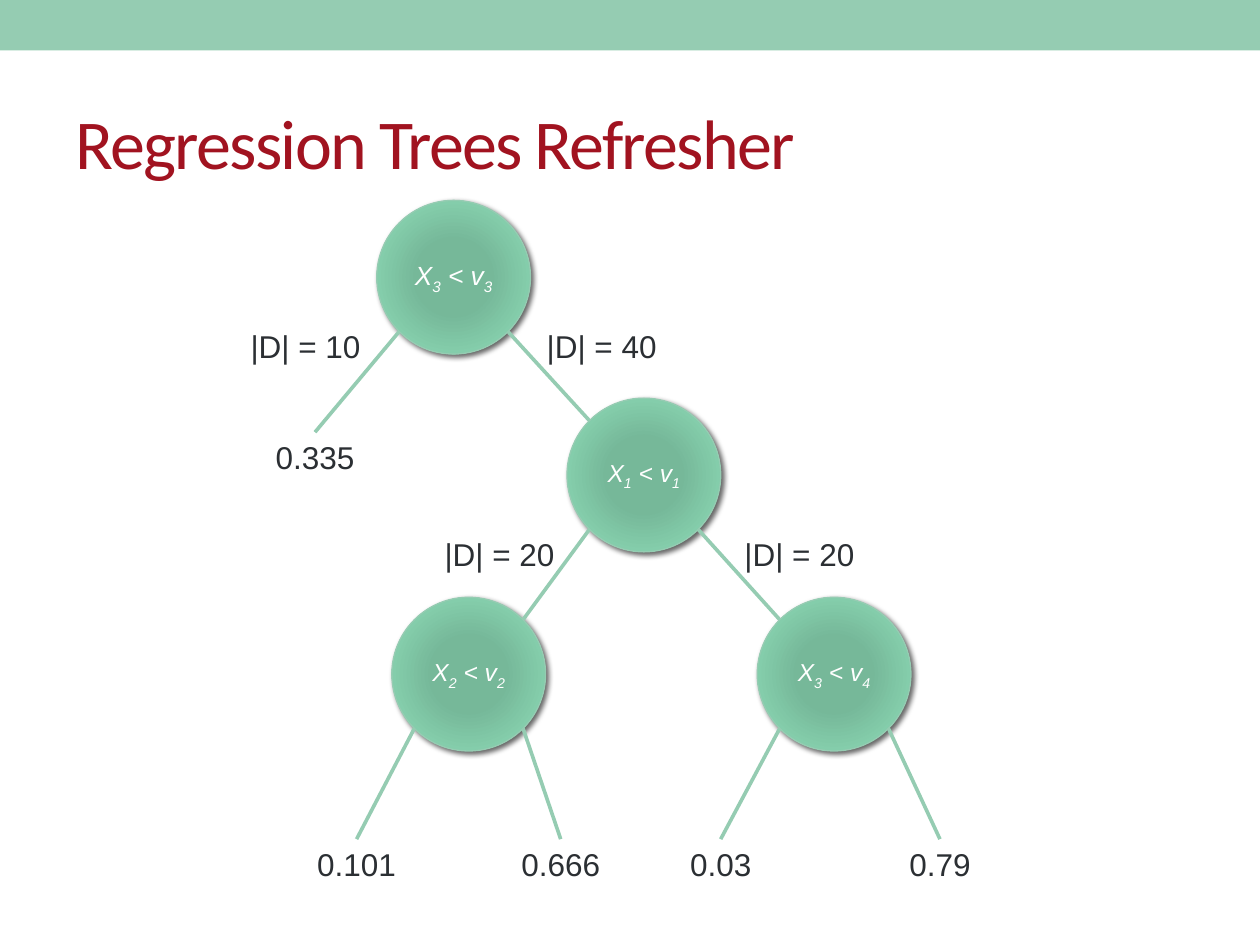
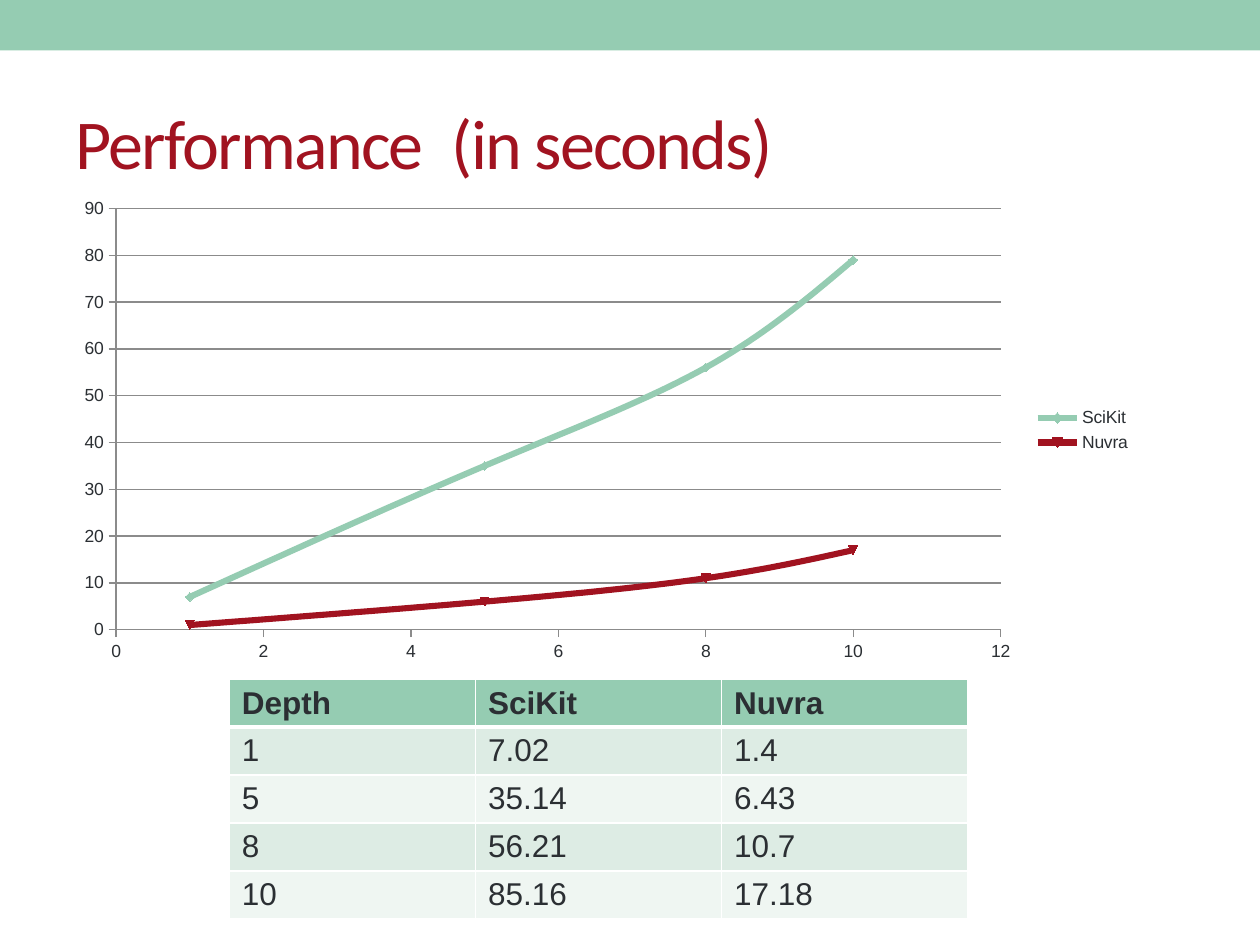
"""Build two slides: a regression tree diagram and a performance comparison."""
from dataclasses import dataclass
from math import sqrt
from typing import Optional, Union

from pptx import Presentation
from pptx.chart.data import XyChartData
from pptx.dml.color import RGBColor as RGB
from pptx.enum.chart import XL_CHART_TYPE as ChartType
from pptx.enum.chart import XL_LEGEND_POSITION as LegendPosition
from pptx.enum.chart import XL_MARKER_STYLE as Marker
from pptx.enum.chart import XL_TICK_MARK as Tick
from pptx.enum.shapes import MSO_CONNECTOR as Connector
from pptx.enum.shapes import MSO_SHAPE as Shape
from pptx.enum.text import MSO_ANCHOR as Anchor
from pptx.enum.text import PP_ALIGN as Align
from pptx.oxml import parse_xml
from pptx.oxml.ns import nsdecls, qn
from pptx.slide import Slide
from pptx.text.text import TextFrame
from pptx.util import Inches, Pt


@dataclass(frozen=True)
class Theme:
    green: str = "95CCB2"
    red: str = "A11320"
    ink: str = "2B2F33"
    white: str = "FFFFFF"
    grid: str = "8B8B8B"
    rows: tuple = ("DDECE4", "EFF6F2")
    glow: tuple = ((0, "74BA99"), (34, "76B899"), (70, "84CDAB"), (100, "95CCB2"))
    title_font: str = "Calibri"
    body_font: str = "Arial"
    title_size: float = 40
    body_size: float = 18
    root_size: float = 15
    node_size: float = 14
    chart_size: float = 10
    title_tracking: float = -1
    wide_gap: float = 7


THEME = Theme()
NODE_SIZE = 1.22
LABEL_HEIGHT = 0.4


@dataclass(frozen=True)
class Leaf:
    value: str
    x: float
    y: float


@dataclass(frozen=True)
class Branch:
    child: Union["Split", Leaf]
    label: str = ""
    label_at: Optional[tuple[float, float]] = None


@dataclass(frozen=True)
class Split:
    condition: str
    left: float
    top: float
    branches: tuple[Branch, Branch]
    size: float = THEME.node_size

    def corner(self, right: bool, bottom: bool) -> tuple[float, float]:
        inset = NODE_SIZE * (1 - 1 / sqrt(2)) / 2
        far = NODE_SIZE - inset
        return (self.left + (far if right else inset),
                self.top + (far if bottom else inset))


TREE = Split("X_3_ < v_3_", 2.99, 1.59, (
    Branch(Leaf("0.335", 2.5, 3.43), "|D| = 10", (1.89, 2.55)),
    Branch(Split("X_1_ < v_1_", 4.5, 3.16, (
        Branch(Split("X_2_ < v_2_", 3.11, 4.74, (
            Branch(Leaf("0.101", 2.83, 6.66)),
            Branch(Leaf("0.666", 4.45, 6.66)),
        )), "|D| = 20", (3.43, 4.2)),
        Branch(Split("X_3_ < v_4_", 6.01, 4.74, (
            Branch(Leaf("0.03", 5.72, 6.66)),
            Branch(Leaf("0.79", 7.46, 6.66)),
        )), "|D| = 20", (5.81, 4.2)),
    )), "|D| = 40", (4.24, 2.55)),
), THEME.root_size)

TIMINGS = (
    ("Depth", "SciKit", "Nuvra"),
    ("1", "7.02", "1.4"),
    ("5", "35.14", "6.43"),
    ("8", "56.21", "10.7"),
    ("10", "85.16", "17.18"),
)
DEPTHS = (1, 5, 8, 10)
CURVES = (
    ("SciKit", (7, 35, 56, 79), THEME.green, Marker.DIAMOND),
    ("Nuvra", (1, 6, 11, 17), THEME.red, Marker.AUTOMATIC),
)


def rgb(color: str) -> RGB:
    return RGB.from_string(color)


def write(frame: TextFrame, text: str, *, size: float = THEME.body_size,
          color: str = THEME.ink, font: str = THEME.body_font,
          bold: bool = False, italic: bool = False, align: Align = Align.LEFT,
          anchor: Anchor = Anchor.TOP, wrap: bool = True,
          tracking: float = 0) -> None:
    frame.word_wrap = wrap
    frame.vertical_anchor = anchor
    paragraph = frame.paragraphs[0]
    paragraph.alignment = align
    for index, part in enumerate(text.split("_")):
        if not part:
            continue
        run = paragraph.add_run()
        run.text = part
        run.font.name, run.font.size = font, Pt(size)
        run.font.bold, run.font.italic = bold, italic
        run.font.color.rgb = rgb(color)
        properties = run._r.get_or_add_rPr()
        if index % 2:
            properties.set("baseline", "-25000")
        if tracking:
            properties.set("spc", str(int(tracking * 100)))


def add_label(slide: Slide, text: str, left: float, top: float, width: float,
              align: Align = Align.LEFT) -> None:
    label = slide.shapes.add_textbox(Inches(left), Inches(top),
                                     Inches(width), Inches(LABEL_HEIGHT))
    write(label.text_frame, text, align=align)


def add_edge(slide: Slide, start: tuple[float, float],
             end: tuple[float, float]) -> None:
    edge = slide.shapes.add_connector(
        Connector.STRAIGHT, *(Inches(value) for value in start + end))
    edge.line.color.rgb = rgb(THEME.green)
    edge.line.width = Pt(2.08)
    edge.element.spPr.append(parse_xml(f"<a:effectLst {nsdecls('a')}/>"))


def add_node(slide: Slide, split: Split) -> None:
    node = slide.shapes.add_shape(Shape.OVAL, Inches(split.left), Inches(split.top),
                                  Inches(NODE_SIZE), Inches(NODE_SIZE))
    node.line.color.rgb = rgb(THEME.green)
    node.line.width = Pt(0.75)
    node.fill.background()
    node.shadow.inherit = False
    stops = "".join(f'<a:gs pos="{at * 1000}"><a:srgbClr val="{color}"/></a:gs>'
                    for at, color in THEME.glow)
    look = node.element.spPr
    look.replace(look.find(qn("a:noFill")), parse_xml(
        f'<a:gradFill {nsdecls("a")} rotWithShape="1"><a:gsLst>{stops}</a:gsLst>'
        '<a:path path="circle"><a:fillToRect l="100000" t="100000" '
        'r="100000" b="100000"/></a:path></a:gradFill>'))
    look.find(qn("a:effectLst")).append(parse_xml(
        f'<a:outerShdw {nsdecls("a")} blurRad="{Pt(3)}" dist="{Pt(2)}" '
        'dir="2700000" rotWithShape="0"><a:srgbClr val="000000">'
        '<a:alpha val="60000"/></a:srgbClr></a:outerShdw>'))
    write(node.text_frame, split.condition, size=split.size, color=THEME.white,
          italic=True, align=Align.CENTER, anchor=Anchor.MIDDLE, wrap=False)


def draw_tree(slide: Slide, split: Split) -> None:
    add_node(slide, split)
    for right, branch in zip((False, True), split.branches):
        child = branch.child
        if isinstance(child, Split):
            draw_tree(slide, child)
            end = child.corner(not right, False)
        else:
            add_label(slide, child.value, child.x - 0.69, child.y, 1.38, Align.CENTER)
            end = (child.x, child.y)
        add_edge(slide, split.corner(right, True), end)
        if branch.label_at:
            add_label(slide, branch.label, *branch.label_at, 1.25)


def add_timing_table(slide: Slide) -> None:
    row_height = Inches(0.38)
    table = slide.shapes.add_table(
        len(TIMINGS), len(TIMINGS[0]), Inches(1.82), Inches(5.39),
        Inches(5.86), row_height * len(TIMINGS)).table
    for row, values in enumerate(TIMINGS):
        table.rows[row].height = row_height
        for column, value in enumerate(values):
            cell = table.cell(row, column)
            write(cell.text_frame, value, bold=row == 0)
            widths = {"L": 1, "R": 1, "T": 3 if row == 1 else 1,
                      "B": 3 if row == 0 else 1}
            for side, width in widths.items():
                cell._tc.get_or_add_tcPr().append(parse_xml(
                    f'<a:ln{side} {nsdecls("a")} w="{Pt(width)}"><a:solidFill>'
                    f'<a:srgbClr val="{THEME.white}"/></a:solidFill></a:ln{side}>'))
            cell.fill.solid()
            cell.fill.fore_color.rgb = rgb(
                THEME.rows[(row - 1) % 2] if row else THEME.green)


def add_timing_chart(slide: Slide) -> None:
    data = XyChartData()
    for name, seconds, *_ in CURVES:
        curve = data.add_series(name)
        for depth, second in zip(DEPTHS, seconds):
            curve.add_data_point(depth, second)
    chart = slide.shapes.add_chart(
        ChartType.XY_SCATTER_SMOOTH, Inches(0.5), Inches(1.5),
        Inches(8.58), Inches(3.83), data).chart
    chart.has_title = False
    chart.font.name, chart.font.size = THEME.body_font, Pt(THEME.chart_size)
    chart.font.color.rgb = rgb(THEME.ink)
    chart.has_legend = True
    chart.legend.position = LegendPosition.RIGHT
    chart.legend.include_in_layout = False
    chart.plots[0].vary_by_categories = False
    for smooth in chart.element.iter(qn("c:smooth")):
        smooth.set("val", "1")
    for series, (_, _, color, marker) in zip(chart.plots[0].series, CURVES):
        series.format.line.color.rgb = rgb(color)
        series.format.line.width = Pt(3.5)
        series.marker.style, series.marker.size = marker, 5
        series.marker.format.fill.solid()
        series.marker.format.fill.fore_color.rgb = rgb(color)
        series.marker.format.line.color.rgb = rgb(color)
    for axis, top, step, gridded in ((chart.category_axis, 12, 2, False),
                                     (chart.value_axis, 90, 10, True)):
        axis.minimum_scale, axis.maximum_scale, axis.major_unit = 0, top, step
        axis.major_tick_mark, axis.minor_tick_mark = Tick.OUTSIDE, Tick.NONE
        axis.format.line.color.rgb = rgb(THEME.grid)
        axis.has_major_gridlines = gridded
    chart.value_axis.major_gridlines.format.line.color.rgb = rgb(THEME.grid)


def add_titled_slide(deck: Presentation, *parts: str) -> Slide:
    slide = deck.slides.add_slide(deck.slide_layouts[5])
    heading = slide.shapes.title
    heading.left, heading.top = Inches(0.5), Inches(0.58)
    heading.width, heading.height = Inches(9), Inches(1.08)
    for part in parts:
        write(heading.text_frame, part, size=THEME.title_size, color=THEME.red,
              font=THEME.title_font, anchor=Anchor.MIDDLE,
              tracking=THEME.wide_gap if part == " " else THEME.title_tracking)
    return slide


def move_band_to_layout(slide: Slide) -> None:
    band = slide.shapes.add_shape(Shape.RECTANGLE, 0, 0, Inches(10), Inches(0.4))
    band.shadow.inherit = False
    band.fill.solid()
    band.fill.fore_color.rgb = rgb(THEME.green)
    band.line.fill.background()
    slide.slide_layout.shapes.element.insert(2, band.element)


def main() -> None:
    deck = Presentation()
    deck.slide_width, deck.slide_height = Inches(10), Inches(7.5)
    refresher = add_titled_slide(deck, "Regression Trees Refresher")
    move_band_to_layout(refresher)
    draw_tree(refresher, TREE)
    performance = add_titled_slide(deck, "Performance", " ", "(in seconds)")
    add_timing_table(performance)
    add_timing_chart(performance)
    deck.save("out.pptx")


main()
